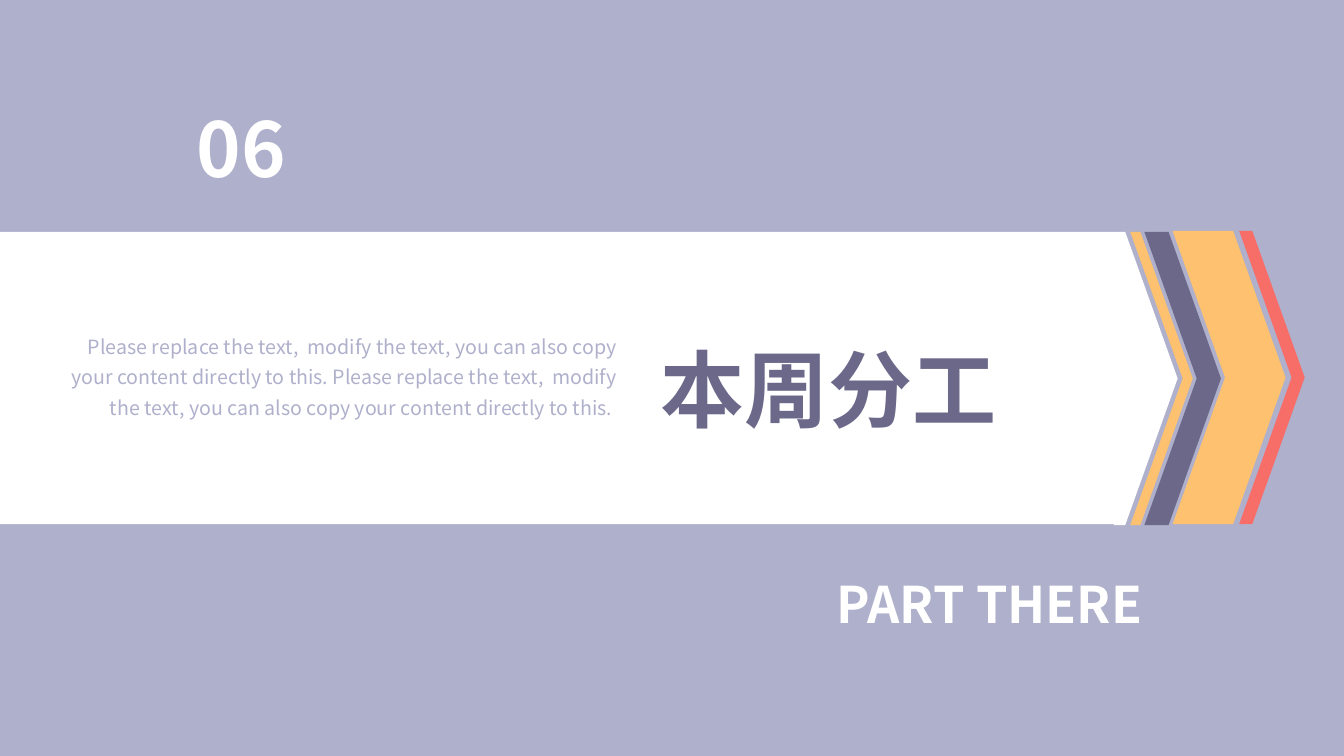
from lxml.etree import SubElement
from pptx import Presentation
from pptx.dml.color import RGBColor
from pptx.enum.shapes import MSO_SHAPE as Preset
from pptx.enum.text import PP_ALIGN as Align
from pptx.oxml.ns import qn
from pptx.util import Inches, Pt

COLORS = {
    "lavender": "AFB0CB",
    "violet": "6B6889",
    "amber": "FDC170",
    "coral": "F76D68",
    "white": "FFFFFF",
}
FONT = "Noto Sans CJK SC"
POINT_DEPTH = 0.52
CHEVRONS = [
    (12.29, -0.01, 0.65, "coral"),
    (11.35, 0, 0.76, "violet"),
    (11.63, -0.01, 1.12, "amber"),
    (11.21, 0, 0.62, "amber"),
]
DESCRIPTION = (
    "Please replace the text,  modify the text, you can also copy your content "
    "directly to this. Please replace the text,  modify the text, you can also "
    "copy your content directly to this. "
)


def rgb(name):
    return RGBColor.from_string(COLORS[name])


def paint(shape, color):
    shape.shadow.inherit = False
    shape.fill.solid()
    shape.fill.fore_color.rgb = rgb(color)
    shape.line.fill.background()


def add_text(slide, box, text, size, color, bold=False, align=Align.LEFT, spacing=1.0):
    text_frame = slide.shapes.add_textbox(*map(Inches, box)).text_frame
    text_frame.word_wrap = True
    text_frame.text = text
    paragraph = text_frame.paragraphs[0]
    paragraph.alignment = align
    paragraph.line_spacing = spacing
    font = paragraph.runs[0].font
    font.size = Pt(size)
    font.bold = bold
    font.color.rgb = rgb(color)
    font.name = FONT
    properties = paragraph.runs[0].font._element
    SubElement(properties, qn("a:ea")).set("typeface", FONT)


def add_banner(slide, left, top, width, height):
    for offset, rise, chevron_width, color in CHEVRONS:
        box = (left + offset, top + rise, chevron_width, height)
        chevron = slide.shapes.add_shape(Preset.CHEVRON, *map(Inches, box))
        chevron.adjustments[0] = POINT_DEPTH / chevron_width
        paint(chevron, color)

    right, bottom = left + width, top + height
    shoulder = right - POINT_DEPTH
    outline = [
        (shoulder, top),
        (right, top + height / 2),
        (shoulder, bottom),
        (shoulder - 0.11, bottom),
        (shoulder - 0.11, bottom - 0.01),
        (left, bottom - 0.01),
    ]
    builder = slide.shapes.build_freeform(Inches(left), Inches(top), scale=1.0)
    builder.add_line_segments([(Inches(x), Inches(y)) for x, y in outline])
    paint(builder.convert_to_shape(), "white")

    add_text(slide, (left + 6.45, top + 0.7, 4.27, 1.41), "本周分工",
             60, "violet", bold=True, spacing=1.3)
    add_text(slide, (left + 0.58, top + 0.9, 5.64, 1.3), DESCRIPTION,
             14, "lavender", align=Align.RIGHT, spacing=1.3)


def add_section_labels(slide, left, top):
    add_text(slide, (left, top, 1.39, 1.01), "06", 54, "white", bold=True)
    add_text(slide, (left + 6.35, top + 4.68, 4.35, 0.71), "PART THERE",
             36, "white", bold=True)


def main():
    presentation = Presentation()
    presentation.slide_width = Inches(13.33)
    presentation.slide_height = Inches(7.5)
    slide = presentation.slides.add_slide(presentation.slide_layouts[6])
    slide.background.fill.solid()
    slide.background.fill.fore_color.rgb = rgb("lavender")
    add_banner(slide, 0, 2.3, 11.68, 2.91)
    add_section_labels(slide, 1.85, 0.96)
    presentation.save("out.pptx")


if __name__ == "__main__":
    main()
